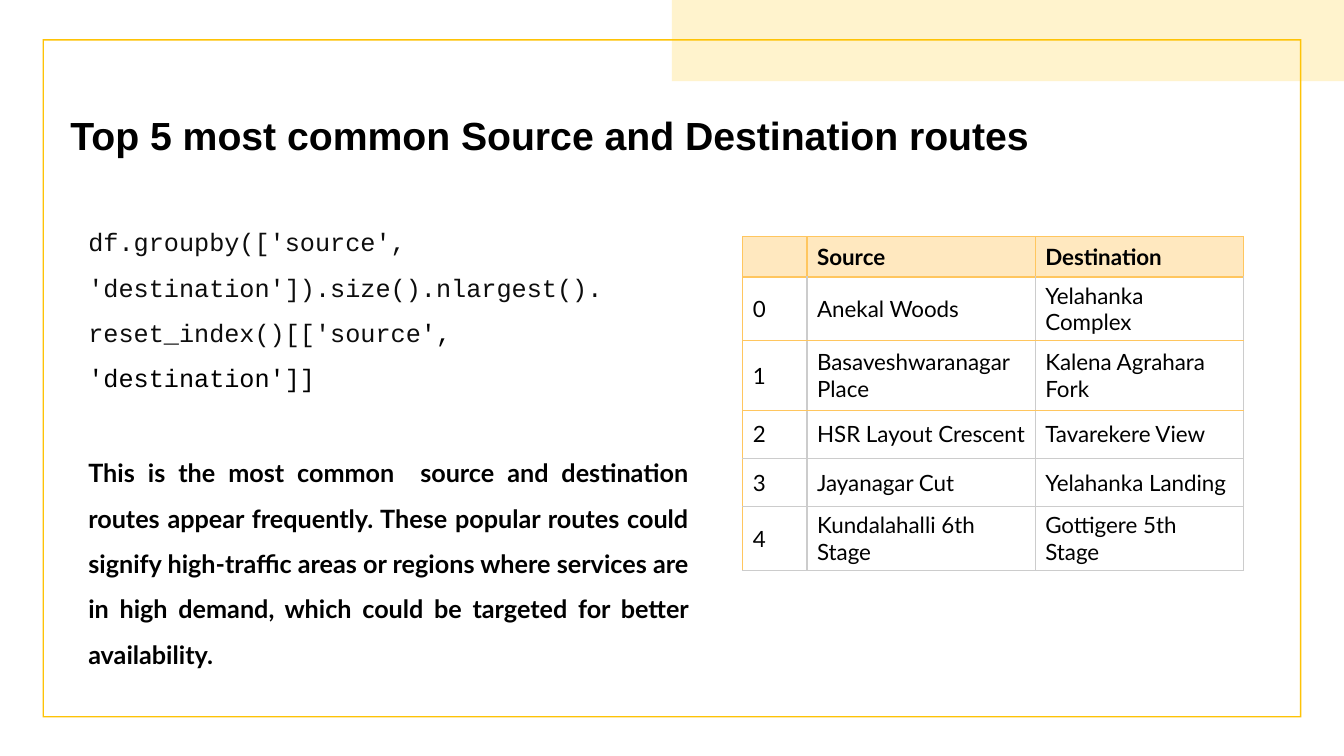
import pptx
import pptx.dml.color
import pptx.enum.shapes
import pptx.enum.text
import pptx.oxml
import pptx.oxml.ns
import pptx.util

Pt = pptx.util.Pt
ALIGN = pptx.enum.text.PP_ALIGN
ANCHOR = pptx.enum.text.MSO_ANCHOR
SHAPE = pptx.enum.shapes.MSO_SHAPE

ORANGE = "FFC65F"
GREY = "CCCCCC"
BLACK = "000000"
ROUTES = [
    ("", "Source", "Destination"),
    ("0", "Anekal Woods", "Yelahanka Complex"),
    ("1", "Basaveshwaranagar Place", "Kalena Agrahara Fork"),
    ("2", "HSR Layout Crescent", "Tavarekere View"),
    ("3", "Jayanagar Cut", "Yelahanka Landing"),
    ("4", "Kundalahalli 6th Stage", "Gottigere 5th Stage"),
]
CODE = [
    ("df.groupby(['source', 'destination']).size().nlargest().reset_index()[['source", "0D0D0D"),
    ("', 'destination']]", BLACK),
]
EXPLANATION = (
    "This is the most common  source and destination routes appear frequently. "
    "These popular routes could signify high-traffic areas or regions where services "
    "are in high demand, which could be targeted for better availability."
)


def rgb(value):
    return pptx.dml.color.RGBColor.from_string(value)


class RouteSlide:
    def __init__(self, slide, body_font="Lato"):
        self.shapes = slide.shapes
        self.body_font = body_font

    def style(self, span, font, size, color, bold):
        span.font.name = font
        span.font.size = Pt(size)
        span.font.color.rgb = rgb(color)
        span.font.bold = bold

    def block(self, kind, left, top, width, height, color):
        shape = self.shapes.add_shape(kind, Pt(left), Pt(top), Pt(width), Pt(height))
        shape.shadow.inherit = False
        shape.fill.solid()
        shape.fill.fore_color.rgb = rgb(color)
        shape.line.fill.background()
        return shape

    def text(self, left, top, width, height, spans, font, size, bold=False,
             spacing=1.5, align=ALIGN.LEFT, anchor=ANCHOR.TOP):
        box = self.shapes.add_textbox(Pt(left), Pt(top), Pt(width), Pt(height))
        frame = box.text_frame
        frame.word_wrap = True
        frame.vertical_anchor = anchor
        para = frame.paragraphs[0]
        para.alignment = align
        para.line_spacing = spacing
        for words, color in spans:
            span = para.add_run()
            span.text = words
            self.style(span, font, size, color, bold)

    def borders(self, cell, colors):
        properties = cell._tc.get_or_add_tcPr()
        namespace = pptx.oxml.ns.nsdecls("a")
        for index, (side, color) in enumerate(colors.items()):
            line = pptx.oxml.parse_xml(
                f'<a:{side} {namespace} w="{Pt(1)}"><a:solidFill>'
                f'<a:srgbClr val="{color}"/></a:solidFill></a:{side}>'
            )
            properties.insert(index, line)

    def table(self, left, top, widths, heights, rows):
        graphic = self.shapes.add_table(
            len(rows), len(widths), Pt(left), Pt(top), Pt(sum(widths)), Pt(sum(heights))
        )
        table = graphic.table
        for column, width in zip(table.columns, widths):
            column.width = Pt(width)
        for row, height in zip(table.rows, heights):
            row.height = Pt(height)
        for row_index, row in enumerate(rows):
            header = row_index == 0
            for column_index, words in enumerate(row):
                cell = table.cell(row_index, column_index)
                cell.vertical_anchor = ANCHOR.MIDDLE
                if header:
                    cell.fill.solid()
                    cell.fill.fore_color.rgb = rgb("FFE8BF")
                else:
                    cell.fill.background()
                cell.text_frame.text = words
                for span in cell.text_frame.paragraphs[0].runs:
                    self.style(span, self.body_font, 16, BLACK, header)
                self.borders(cell, {
                    "lnL": ORANGE if header or column_index == 0 else GREY,
                    "lnR": ORANGE if header else GREY,
                    "lnT": ORANGE if row_index <= 3 else GREY,
                    "lnB": ORANGE if row_index <= 2 else GREY,
                })


def main():
    deck = pptx.Presentation()
    deck.slide_width = Pt(960)
    deck.slide_height = Pt(540)
    page = RouteSlide(deck.slides.add_slide(deck.slide_layouts[6]))

    page.block(SHAPE.RECTANGLE, 480, 0, 480, 58, "FFF3CD")
    border = page.block(SHAPE.FRAME, 30.4, 28, 899.2, 484.5, "FEC306")
    border.adjustments[0] = 0.002

    page.text(43.2, 38, 857.5, 120.5,
              [("Top 5 most common Source and Destination routes", BLACK)],
              "Arial", 28, bold=True, spacing=0.9, anchor=ANCHOR.MIDDLE)
    page.table(530.5, 169, [46, 163, 149], [26.5, 44, 49.5, 34.5, 34.5, 44], ROUTES)
    page.text(56, 147.5, 382.5, 168.5, CODE, "Courier New", 18)
    page.text(56, 312.5, 443, 134.5, [(EXPLANATION, BLACK)], page.body_font, 18,
              bold=True, align=ALIGN.JUSTIFY)

    deck.save("out.pptx")


if __name__ == "__main__":
    main()
